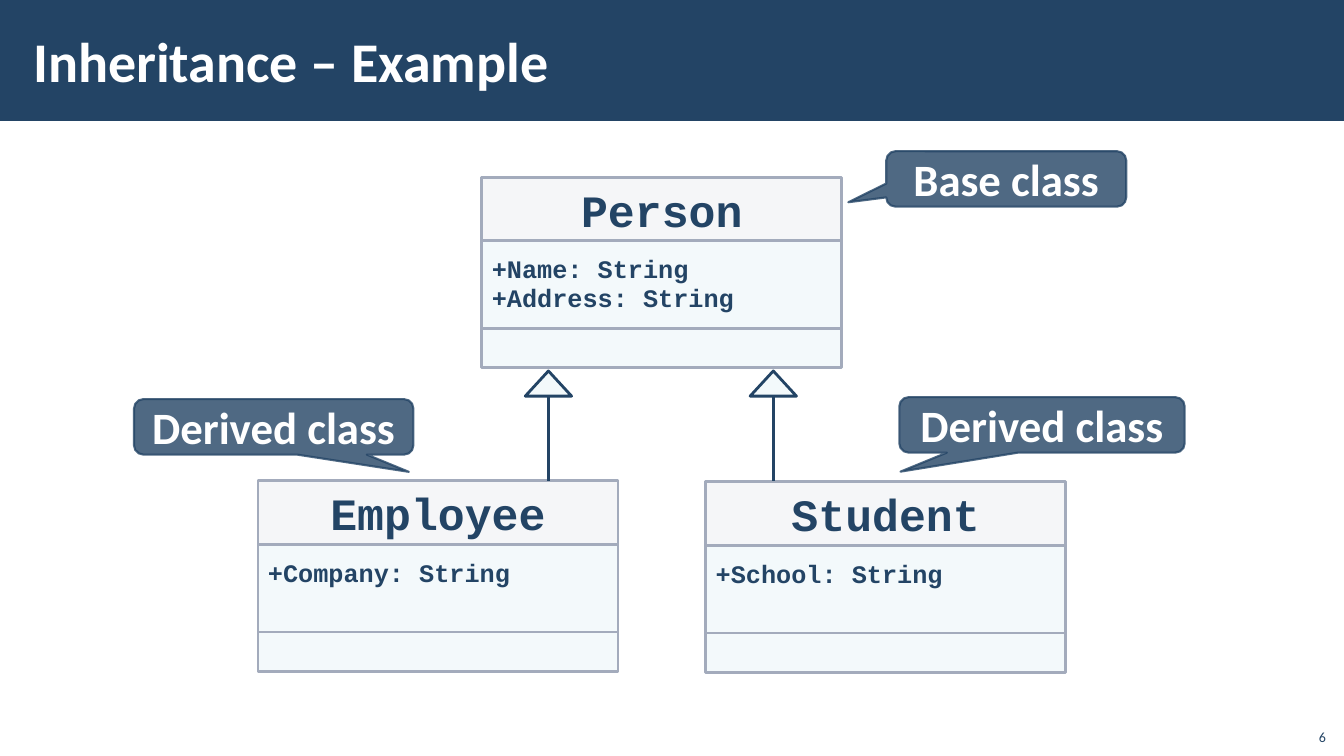
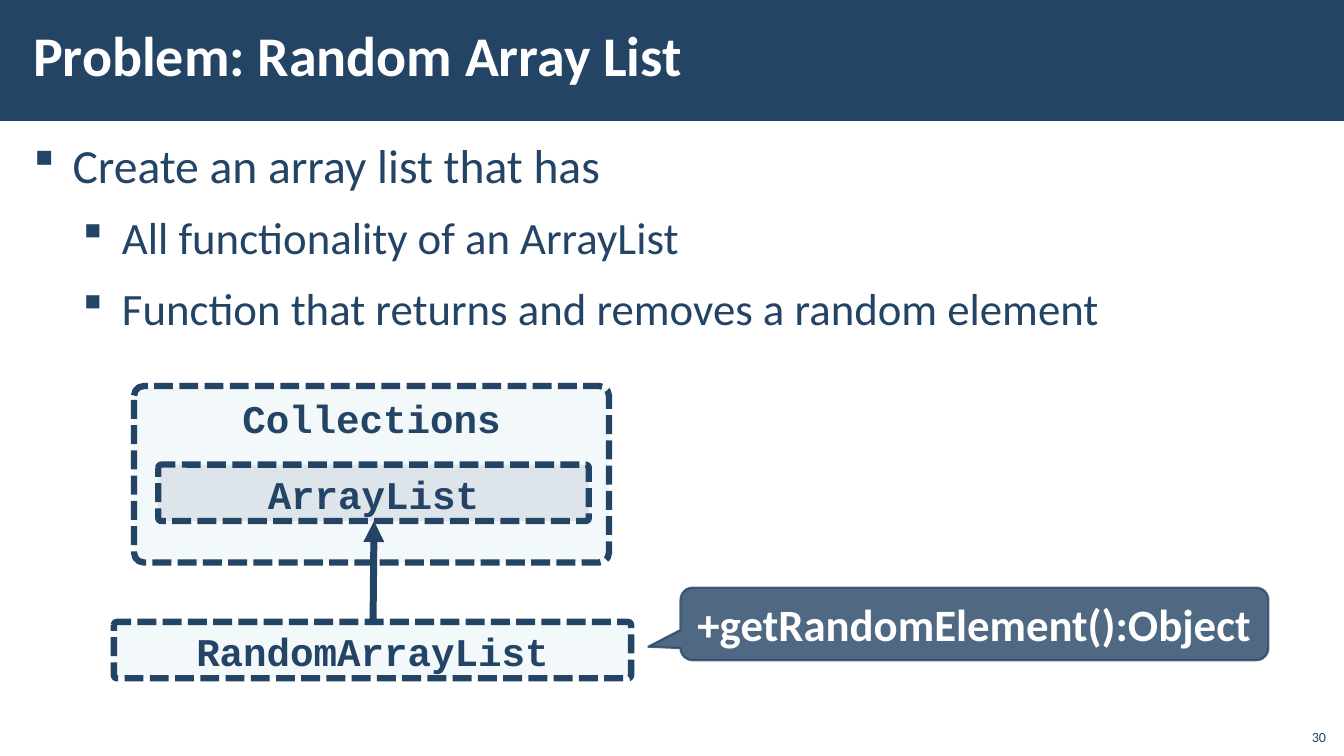
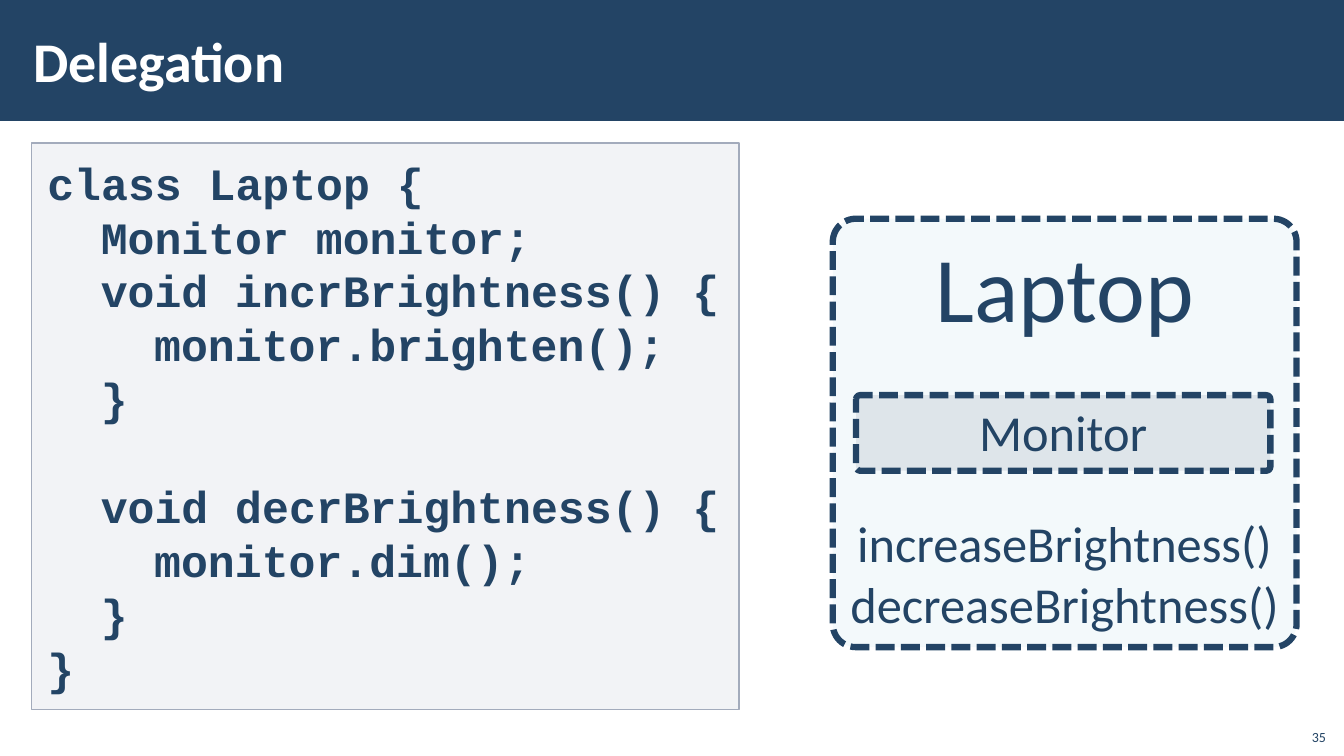
from lxml import etree
from pptx import Presentation
from pptx.dml.color import RGBColor
from pptx.enum.dml import MSO_LINE
from pptx.enum.shapes import MSO_CONNECTOR, MSO_SHAPE
from pptx.enum.text import MSO_ANCHOR, PP_ALIGN
from pptx.oxml.ns import qn
from pptx.util import Inches, Pt

NAVY, WHITE = "234465", "FFFFFF"
BORDER, HEADER, PALE, SLATE = "A3ABBC", "C2C7D2", "B5DBE5", "67748E"
SANS, MONO = "Calibri", "Courier New"
MARGINS = (0.1, 0.05, 0.1, 0.05)
PLACEHOLDER_MARGINS = (0.12, 0.04, 0.12, 0.04)
CODE_INDENT = 0.53  # two characters of 32 pt code


def color(value):
    """Turn a hex string into a colour."""
    return RGBColor.from_string(value)


def set_alpha(parent, percent):
    """Make the solid fill directly under parent partly transparent."""
    solid = parent.find(qn("a:solidFill"))
    etree.SubElement(solid[0], qn("a:alpha"), val=str(percent * 1000))


def style(shape, fill, alpha=100, line=None, width=1, line_alpha=100, dash=None):
    """Set fill, outline and transparency, and remove the shadow."""
    shape.shadow.inherit = False
    shape.fill.solid()
    shape.fill.fore_color.rgb = color(fill)
    if alpha < 100:
        set_alpha(shape._element.spPr, alpha)
    if line is None:
        shape.line.fill.background()
        return
    shape.line.color.rgb = color(line)
    shape.line.width = Pt(width)
    if line_alpha < 100:
        set_alpha(shape.line._get_or_add_ln(), line_alpha)
    if dash is not None:
        shape.line.dash_style = dash


def write(shape, lines, size, font=SANS, ink=NAVY, bold=False,
          align=PP_ALIGN.LEFT, anchor=MSO_ANCHOR.TOP, margins=MARGINS,
          spacing=None):
    """Write one paragraph per line and return the paragraphs."""
    frame = shape.text_frame
    frame.word_wrap = True
    frame.vertical_anchor = anchor
    (frame.margin_left, frame.margin_top,
     frame.margin_right, frame.margin_bottom) = map(Inches, margins)
    for index, line in enumerate(lines):
        paragraph = frame.add_paragraph() if index else frame.paragraphs[0]
        paragraph.alignment = align
        if spacing:
            paragraph.line_spacing = Pt(spacing)
        run = paragraph.add_run()
        run.text = line
        run.font.size = Pt(size)
        run.font.name = font
        run.font.bold = bold
        run.font.color.rgb = color(ink)
    return frame.paragraphs


def add_box(slide, kind, x, y, w, h):
    """Add a preset shape placed in inches."""
    return slide.shapes.add_shape(kind, Inches(x), Inches(y), Inches(w), Inches(h))


def add_text(slide, x, y, w, h, lines, size, **options):
    """Add a text box and return its paragraphs."""
    box = slide.shapes.add_textbox(Inches(x), Inches(y), Inches(w), Inches(h))
    return write(box, lines, size, **options)


def add_slide(prs, title, number, title_spacing=None):
    """Add a slide with the title band and page number."""
    slide = prs.slides.add_slide(prs.slide_layouts[6])
    band = add_box(slide, MSO_SHAPE.RECTANGLE, 0, 0, 13.33, 1.2)
    style(band, NAVY)
    add_text(slide, 0.21, 0.11, 10.63, 0.97, [title], 40, ink=WHITE, bold=True,
             anchor=MSO_ANCHOR.MIDDLE, margins=PLACEHOLDER_MARGINS,
             spacing=title_spacing)
    add_text(slide, 12.85, 7.12, 0.4, 0.32, [str(number)], 10,
             align=PP_ALIGN.RIGHT, anchor=MSO_ANCHOR.BOTTOM)
    return slide


def add_callout(slide, x, y, w, h, text, pointer):
    """Add a speech callout whose pointer is relative to its centre."""
    callout = add_box(slide, MSO_SHAPE.ROUNDED_RECTANGULAR_CALLOUT, x, y, w, h)
    callout.adjustments[0], callout.adjustments[1] = pointer
    style(callout, NAVY, 80, NAVY, 1.5, line_alpha=80)
    write(callout, [text], 32, ink=WHITE, bold=True, align=PP_ALIGN.CENTER,
          anchor=MSO_ANCHOR.MIDDLE)


def add_class(slide, x, y, name, fields):
    """Add a UML class: name, fields and an empty method row."""
    rows = []
    for height, fill in ((0.63, HEADER), (0.87, PALE), (0.39, PALE)):
        row = add_box(slide, MSO_SHAPE.RECTANGLE, x, y, 3.57, height)
        style(row, fill, 15, BORDER, 2)
        rows.append(row)
        y += height
    write(rows[0], [name], 32, MONO, bold=True, align=PP_ALIGN.CENTER,
          anchor=MSO_ANCHOR.MIDDLE)
    write(rows[1], fields, 18, MONO, bold=True, spacing=20,
          margins=(0.1, 0.15, 0.1, 0.05))


def add_line(slide, start, end, width, arrow=False):
    """Add a straight line, with an arrowhead at its end if asked."""
    connector = slide.shapes.add_connector(
        MSO_CONNECTOR.STRAIGHT, *map(Inches, (*start, *end)))
    connector.line.color.rgb = color(NAVY)
    connector.line.width = Pt(width)
    if arrow:
        etree.SubElement(connector.line._get_or_add_ln(), qn("a:tailEnd"),
                         type="triangle")
    etree.SubElement(connector._element.spPr, qn("a:effectLst"))


def add_inheritance(slide, x):
    """Add a UML inheritance arrow pointing up at x."""
    add_line(slide, (x, 3.92), (x, 4.77), 2)
    builder = slide.shapes.build_freeform(Inches(x - 0.23), Inches(3.93))
    builder.add_line_segments([(Inches(x + 0.23), Inches(3.93)),
                               (Inches(x), Inches(3.68))], close=True)
    style(builder.convert_to_shape(), PALE, 15, NAVY, 2)


def add_dashed_box(slide, x, y, w, h, lines, size, fill=PALE, **options):
    """Add a dashed rounded box with centred text."""
    box = add_box(slide, MSO_SHAPE.ROUNDED_RECTANGLE, x, y, w, h)
    box.adjustments[0] = 0.054
    style(box, fill, 15, NAVY, 4.5, dash=MSO_LINE.SQUARE_DOT)
    return write(box, lines, size, align=PP_ALIGN.CENTER, **options)


def add_bullets(slide, items):
    """Add the square-bulleted body from (level, text) pairs."""
    paragraphs = add_text(slide, 0.21, 1.31, 12.92, 5.6,
                          [text for _, text in items], 34,
                          margins=PLACEHOLDER_MARGINS)
    for paragraph, (level, _) in zip(paragraphs, items):
        paragraph.level = level
        paragraph.space_before = paragraph.space_after = Pt(6)
        paragraph.runs[0].font.size = Pt(34 - 2 * level)
        properties = paragraph._p.get_or_add_pPr()
        properties.set("marL", str(Inches(0.39 + 0.49 * level)))
        properties.set("indent", str(Inches(-0.39)))
        etree.SubElement(properties, qn("a:buFont"), typeface="Wingdings",
                         pitchFamily="2", charset="2")
        etree.SubElement(properties, qn("a:buChar"), char="§")


def add_code(slide, x, y, w, h, code):
    """Add a code panel from (depth, text) pairs and return its paragraphs."""
    panel = add_box(slide, MSO_SHAPE.RECTANGLE, x, y, w, h)
    style(panel, HEADER, 20, BORDER, 1)
    paragraphs = write(panel, [text for _, text in code], 32, MONO, bold=True,
                       margins=(0.16, 0.12, 0.1, 0.1), spacing=38.5)
    for paragraph, (depth, _) in zip(paragraphs, code):
        paragraph._p.get_or_add_pPr().set("marL", str(Inches(CODE_INDENT * depth)))
    return paragraphs


def build_inheritance(prs):
    """Class diagram with one base and two derived classes."""
    slide = add_slide(prs, "Inheritance – Example", 6)
    add_class(slide, 4.78, 1.76, "Person", ["+Name: String", "+Address: String"])
    add_class(slide, 2.56, 4.77, "Employee", ["+Company: String"])
    add_class(slide, 7, 4.78, "Student", ["+School: String"])
    for x in (5.44, 7.67):
        add_inheritance(slide, x)
    add_callout(slide, 1.33, 3.96, 2.77, 0.55, "Derived class", (0.484, 0.812))
    add_callout(slide, 8.92, 3.94, 2.83, 0.55, "Derived class", (-0.496, 0.844))
    add_callout(slide, 8.79, 1.5, 2.38, 0.55, "Base class", (-0.658, 0.421))


def build_random_list(prs):
    """Task text with a diagram of the list to extend."""
    slide = add_slide(prs, "Problem: Random Array List", 30, title_spacing=40)
    add_bullets(slide, [
        (0, "Create an array list that has"),
        (1, "All functionality of an ArrayList"),
        (1, "Function that returns and removes a random element"),
    ])
    for x, y, w, h, name, fill in (
            (1.33, 3.83, 4.71, 1.75, "Collections", PALE),
            (1.57, 4.61, 4.27, 0.56, "ArrayList", SLATE),
            (1.13, 6.17, 5.13, 0.56, "RandomArrayList", PALE)):
        add_dashed_box(slide, x, y, w, h, [name], 28, fill, font=MONO, bold=True)
    add_line(slide, (3.7, 6.17), (3.71, 5.17), 5, arrow=True)
    add_callout(slide, 6.75, 5.83, 5.83, 0.72, "+getRandomElement():Object",
                (-0.555, 0.314))


def build_delegation(prs):
    """Code beside the object that it describes."""
    slide = add_slide(prs, "Delegation", 35)
    code = add_code(slide, 0.31, 1.42, 7.02, 5.62, [
        (0, "class Laptop {"),
        (1, "Monitor monitor;"),
        (1, "void incrBrightness() {"),
        (2, "monitor.brighten();"),
        (1, "}"),
        (1, "void decrBrightness() {"),
        (2, "monitor.dim();"),
        (1, "}"),
        (0, "}"),
    ])
    code[5].space_before = Pt(38.5)
    laptop = add_dashed_box(
        slide, 8.26, 2.17, 4.6, 4.25,
        ["Laptop", "increaseBrightness()", "decreaseBrightness()"], 36)
    laptop[0].runs[0].font.size = Pt(66)
    laptop[1].space_before = Pt(122)
    add_dashed_box(slide, 8.49, 3.92, 4.11, 0.75, ["Monitor"], 36, SLATE)


def main():
    """Build and save the presentation."""
    prs = Presentation()
    prs.slide_width, prs.slide_height = Inches(13.33), Inches(7.5)
    build_inheritance(prs)
    build_random_list(prs)
    build_delegation(prs)
    prs.save("out.pptx")


main()
